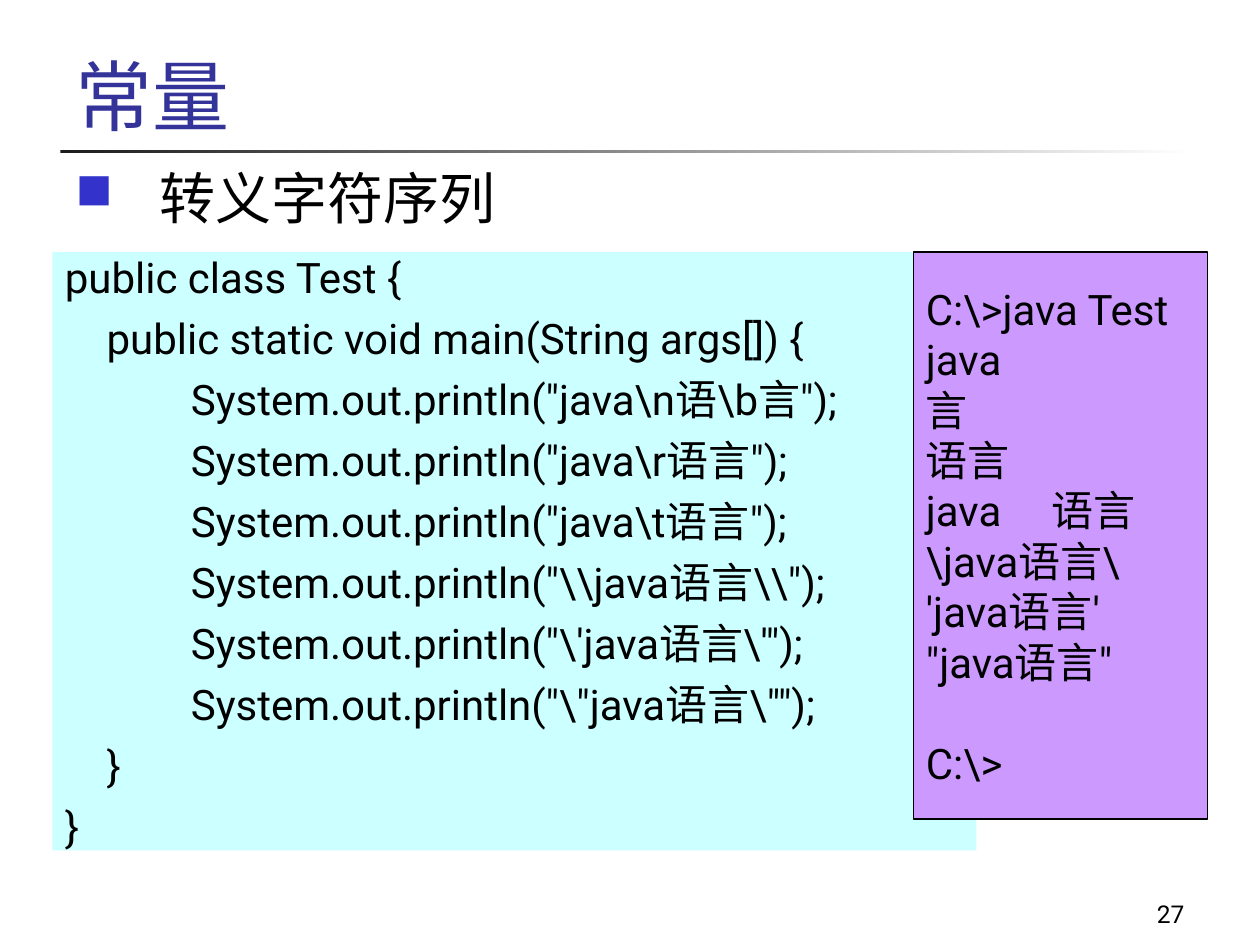
"""Build a slide on Java escape sequences with code and its console output."""
from lxml.etree import SubElement
from pptx import Presentation
from pptx.dml.color import RGBColor
from pptx.enum.shapes import MSO_SHAPE as Preset
from pptx.enum.text import MSO_ANCHOR as Anchor, PP_ALIGN as Align
from pptx.oxml.ns import qn
from pptx.util import Inches, Pt


def color(value):
    return RGBColor.from_string(value)


def add_block(left, top, width, height, lines, size, fill=None, line=None,
              ink="000000", anchor=Anchor.TOP, align=Align.LEFT, gap=0, bullet=False):
    shape = slide.shapes.add_shape(
        Preset.RECTANGLE, *(int(unit * n) for n in (left, top, width, height)))
    shape.shadow.inherit = False
    for part, value in ((shape.fill, fill), (shape.line.fill, line)):
        if value:
            part.solid()
            part.fore_color.rgb = color(value)
        else:
            part.background()
    if line:
        shape.line.width = Pt(0.75)
    frame = shape.text_frame
    frame.word_wrap = True
    frame.vertical_anchor = anchor
    for index, text in enumerate(lines):
        paragraph = frame.paragraphs[0] if index == 0 else frame.add_paragraph()
        properties = paragraph._p.get_or_add_pPr()
        if bullet:
            properties.set("marL", str(8 * unit))
            properties.set("indent", str(-8 * unit))
            SubElement(SubElement(properties, qn("a:buClr")), qn("a:srgbClr"), val="3333CC")
            SubElement(properties, qn("a:buSzPct"), val="90000")
            SubElement(properties, qn("a:buChar"), char="■")
        tabs = SubElement(properties, qn("a:tabLst"))
        SubElement(tabs, qn("a:tab"), pos=str(12 * unit), algn="l")
        formats = {"alignment": align, "space_before": Pt(gap if index else 0)}
        for name, value in formats.items():
            setattr(paragraph, name, value)
        run = paragraph.add_run()
        run.text = text
        for name, value in {"size": Pt(size), "name": "Roboto"}.items():
            setattr(run.font, name, value)
        run.font.color.rgb = color(ink)
        SubElement(run._r.get_or_add_rPr(), qn("a:ea"), typeface="Noto Sans CJK JP")
    return shape


presentation = Presentation()
presentation.slide_width, presentation.slide_height = Inches(10), Inches(7.5)
slide = presentation.slides.add_slide(presentation.slide_layouts[6])
unit = presentation.slide_width // 120

rule = add_block(5.75, 14.25, 108, 0.36, [], 12)
rule.fill.gradient()
rule.fill.gradient_angle = 0
for stop, value in zip(rule.fill.gradient_stops, ("1C1C1C", "FFFFFF")):
    stop.color.rgb = color(value)

add_block(89, 83, 25, 6, ["27"], 14, anchor=Anchor.BOTTOM, align=Align.RIGHT)
add_block(6, 3, 102, 11, ["常量"], 44, ink="333399", anchor=Anchor.BOTTOM)
add_block(6, 15, 100, 8, ["转义字符序列"], 32, bullet=True)

literals = [r"java\n语\b言", r"java\r语言", r"java\t语言",
            r"\\java语言\\", r"\'java语言\'", r"\"java语言\""]
code = ["public class Test {",
        "    public static void main(String args[]) {",
        *(f'\tSystem.out.println("{literal}");' for literal in literals),
        "    }",
        "}"]
add_block(5, 24, 88, 57, code, 24, fill="CCFFFF", anchor=Anchor.MIDDLE, gap=6)

output = ["C:\\>java Test", "java", "言", "语言", "java\t语言",
          "\\java语言\\", "'java语言'", '"java语言"', "C:\\>"]
console = add_block(87, 24, 28, 54, output, 24, fill="CC99FF", line="000000",
                    anchor=Anchor.MIDDLE)
console.text_frame.paragraphs[-1].space_before = Pt(29)

presentation.save("out.pptx")
